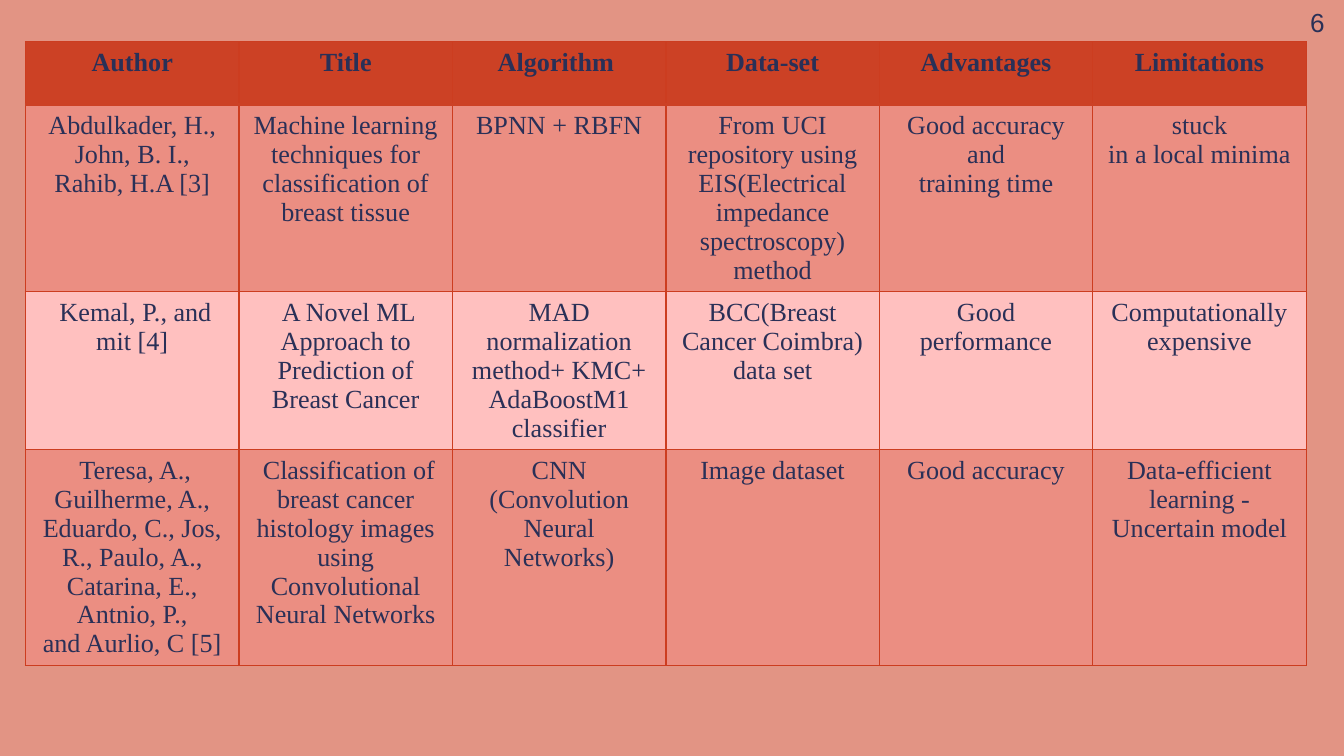
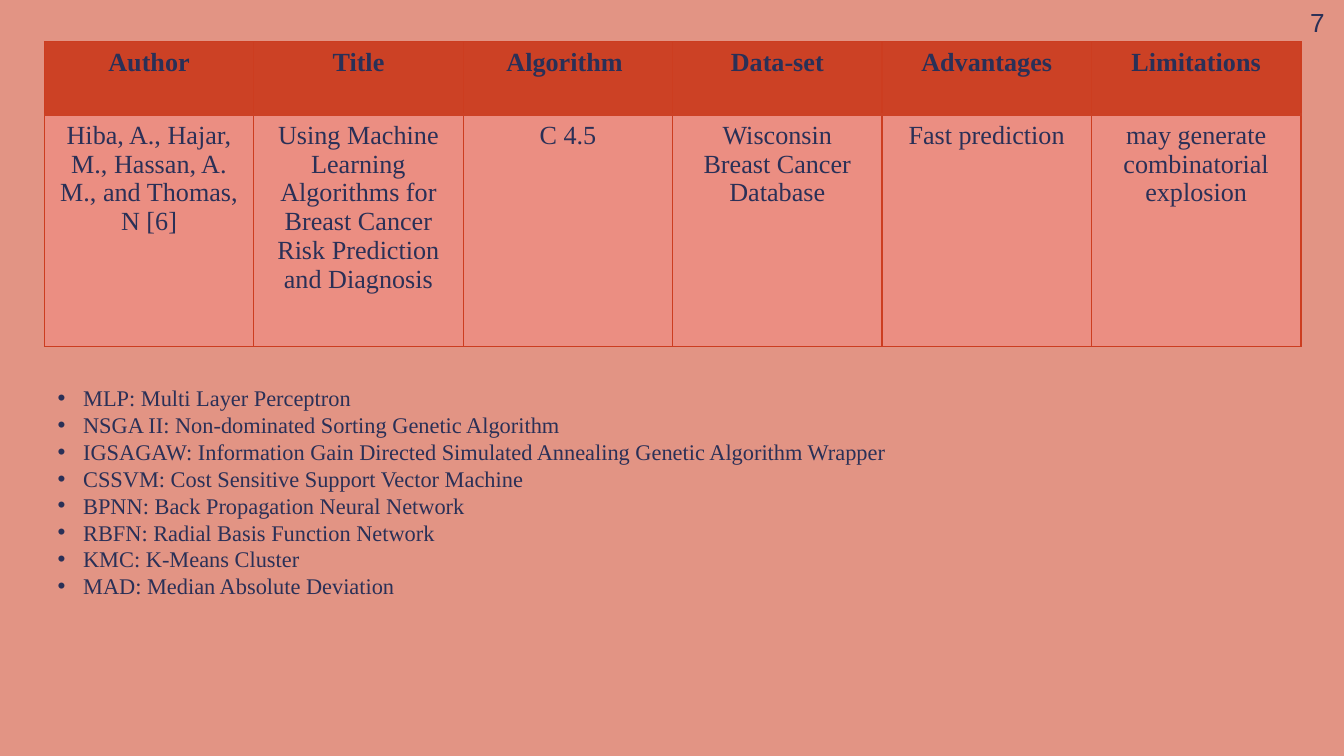
from lxml import etree
from pptx import Presentation
from pptx.dml.color import RGBColor
from pptx.enum.text import MSO_AUTO_SIZE, PP_ALIGN
from pptx.oxml.ns import qn
from pptx.util import Inches, Pt

CENTER, LEFT = PP_ALIGN.CENTER, PP_ALIGN.LEFT
FIT_SHAPE = MSO_AUTO_SIZE.SHAPE_TO_FIT_TEXT

BACKGROUND = RGBColor(0xE2, 0x94, 0x84)
HEADER = RGBColor(0xCC, 0x41, 0x25)
BAND_DARK = RGBColor(0xEB, 0x8E, 0x82)
BAND_LIGHT = RGBColor(0xFF, 0xC0, 0xBF)
GRID = RGBColor(0xCC, 0x3D, 0x20)
INK = RGBColor(0x2A, 0x30, 0x57)
SERIF, SANS = "Times New Roman", "Arial"

COLUMNS = ["Author", "Title", "Algorithm ", "Data-set", "Advantages", "Limitations"]

# A line break inside a cell starts a new paragraph.
SURVEYS = [
    {
        "number": "6",
        "box": (0.19, 0.31, 9.53, 4.97),
        "row_heights": [0.47, 0.95, 0.82, 0.82],
        "papers": [
            ["Abdulkader, H., John, B. I., Rahib, H.A [3]",
             "Machine learning techniques for classification of breast tissue",
             "BPNN + RBFN",
             "From UCI repository using\nEIS(Electrical impedance spectroscopy) method",
             "Good accuracy and\ntraining time",
             "stuck\nin a local minima"],
            [" Kemal, P., and mit [4]",
             " A Novel ML Approach to Prediction of Breast Cancer",
             "MAD normalization method+ KMC+\nAdaBoostM1 classifier",
             "BCC(Breast Cancer Coimbra) data set",
             "Good performance",
             "Computationally expensive"],
            [" Teresa, A., Guilherme, A., Eduardo, C., Jos, R., Paulo, A., "
             "Catarina, E., Antnio, P.,\nand Aurlio, C [5]",
             " Classification of breast cancer histology images using "
             "Convolutional\nNeural Networks",
             "CNN (Convolution Neural Networks)",
             "Image dataset",
             "Good accuracy",
             "Data-efficient learning - Uncertain model"],
        ],
        "abbreviations": [],
    },
    {
        "number": "7",
        "box": (0.33, 0.31, 9.35, 2.27),
        "row_heights": [0.54, 1.73],
        "papers": [
            ["Hiba, A., Hajar, M., Hassan, A. M., and Thomas, N [6]",
             "Using Machine Learning\nAlgorithms for Breast Cancer Risk Prediction "
             "and Diagnosis",
             "C 4.5",
             "Wisconsin Breast Cancer Database",
             "Fast prediction",
             "may generate combinatorial\nexplosion"],
        ],
        "abbreviations": [
            "MLP: Multi Layer Perceptron",
            "NSGA II: Non-dominated Sorting Genetic Algorithm",
            "IGSAGAW: Information Gain Directed Simulated Annealing Genetic "
            "Algorithm Wrapper",
            "CSSVM: Cost Sensitive Support Vector Machine",
            "BPNN: Back Propagation Neural Network",
            "RBFN: Radial Basis Function Network",
            "KMC: K-Means Cluster",
            "MAD: Median Absolute Deviation",
        ],
    },
]
NUMBER_BOX = (9.65, 0, 0.35, 0.34)
ABBREVIATIONS_BOX = (0.33, 2.81, 9.35, 1.72)
BULLET_INDENT = 0.19


def add_bullet(paragraph):
    properties = paragraph._p.get_or_add_pPr()
    properties.set("marL", str(Inches(BULLET_INDENT)))
    properties.set("indent", str(-Inches(BULLET_INDENT)))
    color = etree.SubElement(properties, qn("a:buClr"))
    etree.SubElement(color, qn("a:srgbClr"), val=str(INK))
    etree.SubElement(properties, qn("a:buFont"), typeface=SANS)
    etree.SubElement(properties, qn("a:buChar"), char="•")


def write(frame, text, size=14, font=SERIF, bold=False, align=LEFT, bullet=False):
    for index, line in enumerate(text.split("\n")):
        paragraph = frame.add_paragraph() if index else frame.paragraphs[0]
        paragraph.alignment = align
        if bullet:
            add_bullet(paragraph)
        run = paragraph.add_run()
        run.text = line
        run.font.size = Pt(size)
        run.font.name = font
        run.font.bold = bold
        run.font.color.rgb = INK


def add_text(slide, box, text, **style):
    frame = slide.shapes.add_textbox(*map(Inches, box)).text_frame
    frame.word_wrap = True
    frame.auto_size = FIT_SHAPE
    write(frame, text, **style)


def set_borders(cell, borders):
    """Set cell edges from (side, colour, points), ordered L, R, T, B."""
    properties = cell._tc.get_or_add_tcPr()
    for position, (side, color, points) in enumerate(borders):
        line = etree.Element(qn(f"a:ln{side}"), w=str(Pt(points)))
        fill = etree.SubElement(line, qn("a:solidFill"))
        etree.SubElement(fill, qn("a:srgbClr"), val=str(color))
        properties.insert(position, line)


def add_survey_table(slide, box, row_heights, papers):
    rows = [COLUMNS] + papers
    shape = slide.shapes.add_table(len(rows), len(COLUMNS), *map(Inches, box))
    table = shape.table
    for row, height in zip(table.rows, row_heights):
        row.height = Inches(height)
    shape.height = Inches(box[3])

    for r, row in enumerate(rows):
        is_header = r == 0
        band = HEADER if is_header else BAND_DARK if r % 2 else BAND_LIGHT
        borders = [("L", GRID, 0.75), ("R", GRID, 0.75)]
        if r != 1:  # the header's bottom edge already separates row 1
            borders.append(("T", GRID, 0.75))
        borders.append(("B", HEADER, 2) if is_header else ("B", GRID, 0.75))
        for c, text in enumerate(row):
            cell = table.cell(r, c)
            cell.fill.solid()
            cell.fill.fore_color.rgb = band
            set_borders(cell, borders)
            write(cell.text_frame, text, bold=is_header, align=CENTER)


def add_survey_slide(deck, survey):
    slide = deck.slides.add_slide(deck.slide_layouts[6])
    slide.background.fill.solid()
    slide.background.fill.fore_color.rgb = BACKGROUND
    add_survey_table(slide, survey["box"], survey["row_heights"], survey["papers"])
    if survey["abbreviations"]:
        add_text(slide, ABBREVIATIONS_BOX, "\n".join(survey["abbreviations"]),
                 size=12, bullet=True)
    add_text(slide, NUMBER_BOX, survey["number"], font=SANS)


def main():
    deck = Presentation()
    deck.slide_width = Inches(10)
    deck.slide_height = deck.slide_width * 9 // 16
    for survey in SURVEYS:
        add_survey_slide(deck, survey)
    deck.save("out.pptx")


if __name__ == "__main__":
    main()
